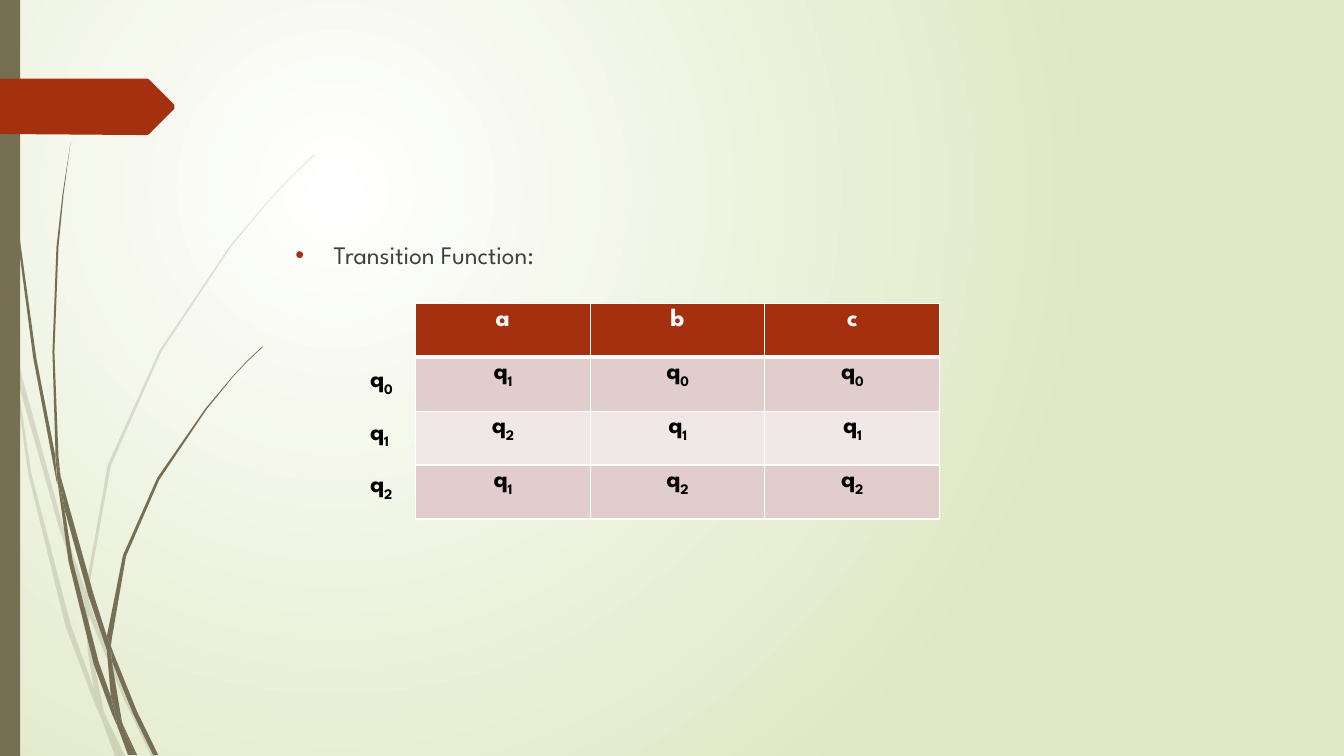
from lxml.etree import SubElement
from pptx import Presentation
from pptx.dml.color import RGBColor
from pptx.enum.shapes import MSO_SHAPE as Preset
from pptx.enum.text import MSO_AUTO_SIZE as AutoSize, PP_ALIGN as Align
from pptx.oxml import parse_xml
from pptx.oxml.ns import nsdecls, qn
from pptx.util import Inches, Pt

WIDTH, HEIGHT = 13.33, 7.5
FONT = "League Spartan"
RUST, OLIVE, WHITE, BLACK = "A53010", "766F54", "FFFFFF", "000000"
BANDS = ["E1CDCC", "F0E8E7"]
SYMBOLS = ["a", "b", "c"]
STATES = ["q0", "q1", "q2"]
MOVES = [["q1", "q0", "q0"], ["q2", "q1", "q1"], ["q1", "q2", "q2"]]

FAINT_BLADES = [
    "11,350 9,322 0,282 0,299 10,344",
    "58,522 84,599 85,586 62,520 14,345 17,376",
    "92,607 88,596 88,610 123,694 150,750 155,750 127,692",
    "119,750 124,750 105,711",
    "93,683 70,619 31,469 17,376 11,350 28,470 65,621 92,693 101,714 99,707",
    "84,599 87,646 93,683 96,692 105,711 103,706 91,646 88,610 88,608",
    "88,584 110,462 160,349 229,245 268,198 290,175 312,154 312,153 289,175 "
    "268,197 228,244 158,348 107,461 85,584 85,586 88,596",
    "101,714 114,750 119,750",
    "88,608 88,610 88,596 85,586 84,599",
    "96,692 93,683 99,707 101,714 119,750 105,711",
]
BLADES = [
    "7,110 17,233 33,355 56,477 57,481 55,457 55,453 36,355 19,232 8,109 "
    "5,48 4,0 3,0 4,48",
    "88,592 106,645 106,633 106,631 93,590 60,472 64,505",
    "113,649 110,641 111,656 132,708 152,749 157,749 136,706",
    "110,691 98,657 72,556 64,505 57,477 68,557 93,659 111,708 117,722 116,717",
    "60,472 58,453 54,349 58,245 63,193 70,141 62,193 56,245 52,349 55,449",
    "133,749 136,749 122,719",
    "57,477 64,505 60,472 55,449 55,453",
    "111,633 125,552 158,476 205,406 231,374 245,359 261,344 260,344 245,358 "
    "231,373 204,405 156,474 122,551 106,631 110,641",
    "117,722 127,749 131,749",
    "106,645 110,691 116,706 122,719 121,716 111,656 109,651",
    "106,645 109,651 111,656 110,641 106,631 106,633",
    "116,706 110,691 116,717 117,722 130,749 133,749 122,719",
]
ARROW = ["173,108 148,133 146,134 136,134 0,133 0,78 136,78 146,78 148,79 173,104"]


def color(code):
    """Turn a hex string into a colour."""
    return RGBColor.from_string(code)


def paint(shape, code, opacity=100):
    """Fill a shape without line or shadow."""
    shape.shadow.inherit = False
    shape.fill.solid()
    shape.fill.fore_color.rgb = color(code)
    shape.line.fill.background()
    if opacity < 100:
        tint = shape.fill._xPr.find(qn("a:solidFill"))[0]
        SubElement(tint, qn("a:alpha"), val=str(opacity * 1000))


def draw_outlines(shapes, outlines, box, code, opacity=100):
    """Draw closed outlines given in hundredths of an inch from the box corner."""
    left, top = box
    for outline in outlines:
        points = [tuple(map(int, pair.split(","))) for pair in outline.split()]
        builder = shapes.build_freeform(*points[0], scale=Inches(0.01))
        builder.add_line_segments(points[1:], close=True)
        paint(builder.convert_to_shape(Inches(left), Inches(top)), code, opacity)


def add_run(para, text, code, bold=True, lowered=False):
    """Append one run in the slide font."""
    run = para.add_run()
    run.text = text
    run.font.name, run.font.size, run.font.bold = FONT, Pt(18), bold
    run.font.color.rgb = color(code)
    if lowered:
        run.font._element.set("baseline", "-25000")


def add_state(para, state):
    """Write a state name with its number as a subscript."""
    add_run(para, state[0], BLACK)
    add_run(para, state[1:], BLACK, lowered=True)


def set_background(page):
    """Spread a round glow from the upper left over the page."""
    fill = page.background.fill
    fill.gradient()
    gradient = page.background._cSld.find(".//" + qn("a:gradFill"))
    glow = parse_xml(
        f'<a:gradFill {nsdecls("a")} rotWithShape="1"><a:gsLst>'
        f'<a:gs pos="0"><a:srgbClr val="{WHITE}"/></a:gs>'
        '<a:gs pos="100000"><a:srgbClr val="DFE8C4"/></a:gs></a:gsLst>'
        '<a:path path="circle"><a:fillToRect l="50000" t="50000" '
        'r="100000" b="100000"/></a:path></a:gradFill>')
    gradient.getparent().replace(gradient, glow)


def add_decoration(page, box):
    """Place the grass, the side bar and the arrow at the left edge."""
    left, top, width, height = box
    for blades, opacity in ((FAINT_BLADES, 20), (BLADES, 100)):
        group = page.shapes.add_group_shape()
        draw_outlines(group.shapes, blades, (left, top), OLIVE, opacity)
    bar = page.shapes.add_shape(Preset.RECTANGLE, *map(Inches, (left, top, width, height)))
    paint(bar, OLIVE)
    draw_outlines(page.shapes, ARROW, (left, top), RUST)


def add_heading(page, box):
    """Write the bulleted heading."""
    frame = page.shapes.add_textbox(*map(Inches, box)).text_frame
    frame.word_wrap = True
    para = frame.paragraphs[0]
    para.space_before = Pt(10)
    layout = para._p.get_or_add_pPr()
    layout.set("marL", str(Inches(0.38)))
    layout.set("indent", str(-Inches(0.38)))
    SubElement(SubElement(layout, qn("a:buClr")), qn("a:srgbClr"), val=RUST)
    SubElement(layout, qn("a:buFont"), typeface="Arial")
    SubElement(layout, qn("a:buChar"), char="•")
    add_run(para, "Transition Function:", "404040", bold=False)


def style_cell(cell, code, top, bottom):
    """Fill a cell and give it white borders."""
    holder = cell._tc.get_or_add_tcPr()
    for side, points in (("L", 1), ("R", 1), ("T", top), ("B", bottom)):
        border = SubElement(holder, qn(f"a:ln{side}"), w=str(Pt(points)))
        SubElement(SubElement(border, qn("a:solidFill")), qn("a:srgbClr"), val=WHITE)
    cell.fill.solid()
    cell.fill.fore_color.rgb = color(code)


def add_transitions(page, box):
    """Build the table of moves from each state on each symbol."""
    rows = [SYMBOLS] + MOVES
    table = page.shapes.add_table(len(rows), len(SYMBOLS), *map(Inches, box)).table
    for row, entries in enumerate(rows):
        for column, entry in enumerate(entries):
            cell = table.cell(row, column)
            para = cell.text_frame.paragraphs[0]
            para.alignment = Align.CENTER
            if row == 0:
                style_cell(cell, RUST, 1, 3)
                add_run(para, entry, WHITE)
            else:
                style_cell(cell, BANDS[(row - 1) % 2], 3 if row == 1 else 1, 1)
                add_state(para, entry)


def add_row_labels(page, box):
    """Stack the state names beside the table rows."""
    left, top, width, height = box
    step = height / len(STATES)
    for index, state in enumerate(STATES):
        place = (left, top + index * step, width, 0.4)
        frame = page.shapes.add_textbox(*map(Inches, place)).text_frame
        frame.word_wrap = False
        frame.auto_size = AutoSize.SHAPE_TO_FIT_TEXT
        add_state(frame.paragraphs[0], state)


def main():
    """Build the slide and save it."""
    deck = Presentation()
    deck.slide_width, deck.slide_height = Inches(WIDTH), Inches(HEIGHT)
    page = deck.slides.add_slide(deck.slide_layouts[6])
    set_background(page)
    add_decoration(page, (0, 0, 0.2, HEIGHT))
    add_heading(page, (2.83, 2.33, 9.75, 4.13))
    add_transitions(page, (4.12, 3.01, 5.2, 2.14))
    add_row_labels(page, (3.57, 3.55, 0.46, 1.56))
    deck.save("out.pptx")


if __name__ == "__main__":
    main()
